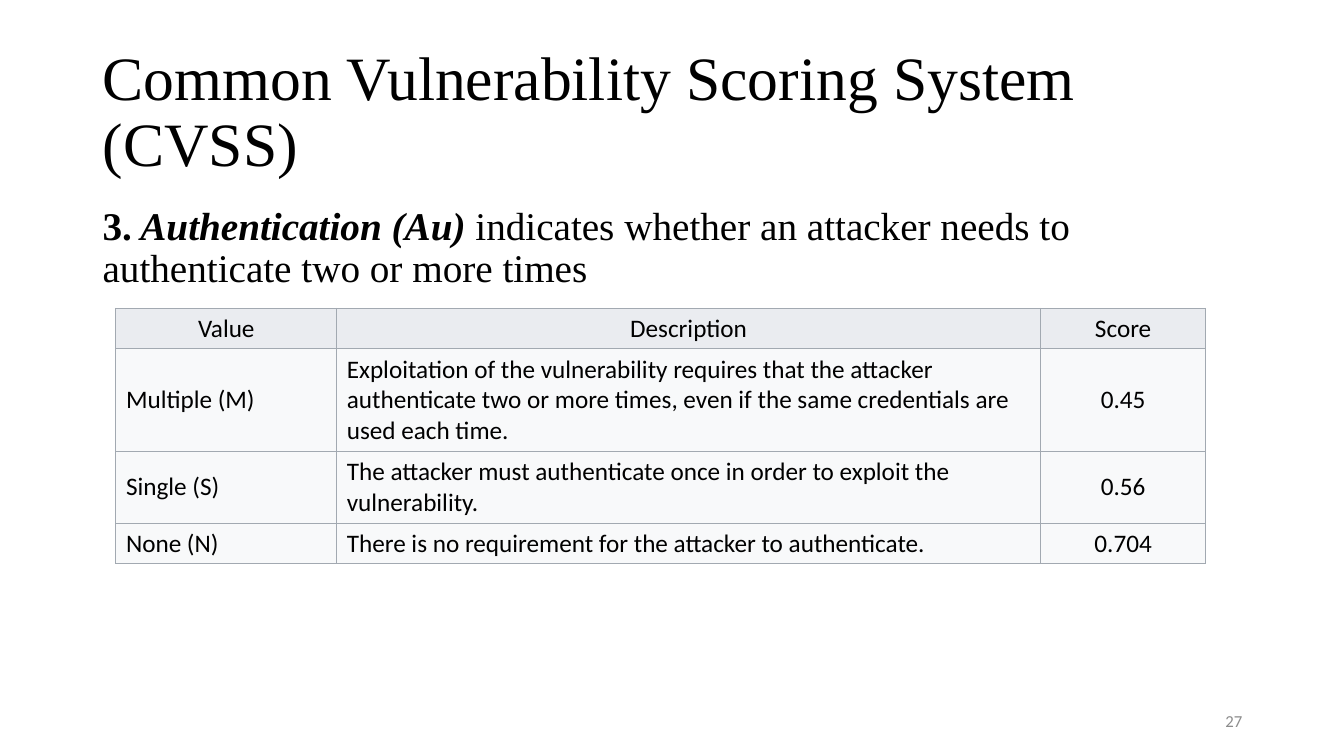
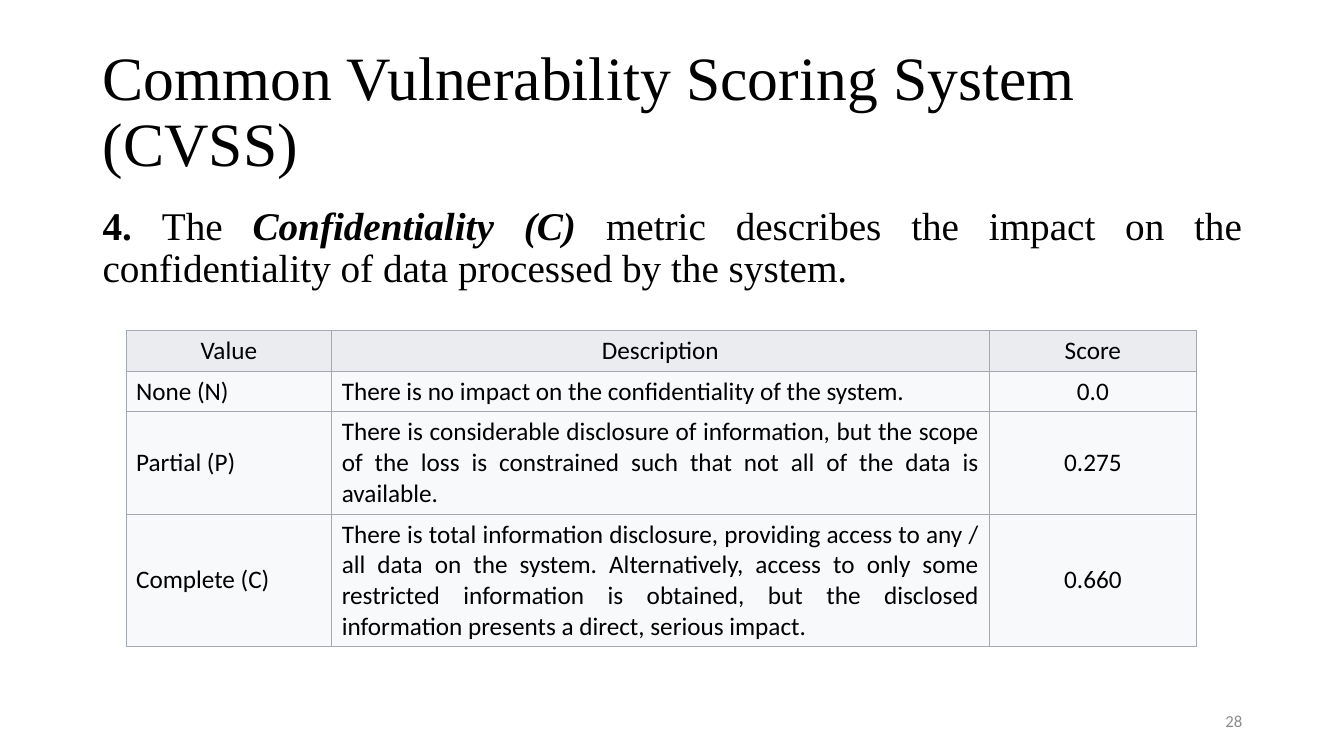
from dataclasses import dataclass

from lxml.etree import SubElement
from pptx import Presentation
from pptx.dml.color import RGBColor
from pptx.enum.text import MSO_ANCHOR as Anchor, MSO_AUTO_SIZE as AutoSize, PP_ALIGN as Align
from pptx.oxml.ns import qn
from pptx.util import Inches, Pt

TITLE_ONLY = 5
FIRST_NUMBER = 27
TITLE = "Common Vulnerability Scoring System (CVSS)"
HEADER = ("Value", "Description", "Score")


@dataclass(frozen=True)
class Theme:
    text: RGBColor = RGBColor.from_string("000000")
    number: RGBColor = RGBColor.from_string("8C8C8C")
    header_fill: RGBColor = RGBColor.from_string("EAECF0")
    row_fill: RGBColor = RGBColor.from_string("F8F9FA")
    border: str = "A2A9B1"
    border_width: float = 0.75
    serif: str = "Times New Roman"
    sans: str = "Calibri"
    title_size: int = 44
    lead_size: int = 28
    table_size: int = 18
    number_size: int = 12
    line_spacing: float = 0.9
    left: float = 0.92
    width: float = 11.5


class Deck:
    """Holds the theme, the presentation and the slide being built."""

    def __init__(self, theme):
        self.theme = theme
        self.presentation = Presentation()
        self.presentation.slide_width = Inches(13.33)
        self.presentation.slide_height = Inches(7.5)
        self.slide = None

    def add_slide(self, title):
        layout = self.presentation.slide_layouts[TITLE_ONLY]
        self.slide = self.presentation.slides.add_slide(layout)
        shape = self.slide.shapes.title
        shape.left, shape.top = Inches(self.theme.left), Inches(0.4)
        shape.width, shape.height = Inches(self.theme.width), Inches(1.45)
        frame = shape.text_frame
        frame.text = title
        frame.word_wrap = True
        frame.auto_size = AutoSize.NONE
        frame.vertical_anchor = Anchor.MIDDLE
        paragraph = frame.paragraphs[0]
        paragraph.alignment = Align.LEFT
        paragraph.line_spacing = self.theme.line_spacing
        self.style(paragraph.runs[0], self.theme.serif, self.theme.title_size)

    def style(self, run, name, size, color=None):
        run.font.name = name
        run.font.size = Pt(size)
        run.font.color.rgb = color or self.theme.text

    def add_textbox(self, left, top, width, height):
        shape = self.slide.shapes.add_textbox(
            Inches(left), Inches(top), Inches(width), Inches(height))
        shape.text_frame.word_wrap = True
        return shape.text_frame

    def add_lead(self, parts, alignment):
        """Write the metric's definition; each part is (text, bold, italic)."""
        frame = self.add_textbox(self.theme.left, 2, self.theme.width, 4.76)
        paragraph = frame.paragraphs[0]
        paragraph.alignment = alignment
        paragraph.line_spacing = self.theme.line_spacing
        for text, bold, italic in parts:
            run = paragraph.add_run()
            run.text = text
            self.style(run, self.theme.serif, self.theme.lead_size)
            run.font.bold, run.font.italic = bold, italic

    def add_table(self, left, top, widths, heights, rows, body_alignment):
        shape = self.slide.shapes.add_table(
            len(rows), len(widths), Inches(left), Inches(top),
            Inches(sum(widths)), Inches(sum(heights)))
        table = shape.table
        for column, width in zip(table.columns, widths):
            column.width = Inches(width)
        for row, height in zip(table.rows, heights):
            row.height = Inches(height)
        alignments = (Align.LEFT, body_alignment, Align.CENTER)
        for row_index, texts in enumerate(rows):
            is_header = row_index == 0
            fill = self.theme.header_fill if is_header else self.theme.row_fill
            for column_index, text in enumerate(texts):
                alignment = Align.CENTER if is_header else alignments[column_index]
                self.fill_cell(table.cell(row_index, column_index), text, alignment, fill)

    def fill_cell(self, cell, text, alignment, fill):
        cell.text = text
        cell.vertical_anchor = Anchor.MIDDLE
        paragraph = cell.text_frame.paragraphs[0]
        paragraph.alignment = alignment
        run = paragraph.runs[0]
        self.style(run, self.theme.sans, self.theme.table_size)
        run.font.bold = False
        self.add_borders(cell)
        cell.fill.solid()
        cell.fill.fore_color.rgb = fill

    def add_borders(self, cell):
        properties = cell._tc.get_or_add_tcPr()
        for side in ("a:lnL", "a:lnR", "a:lnT", "a:lnB"):
            line = SubElement(properties, qn(side), w=str(Pt(self.theme.border_width)))
            solid = SubElement(line, qn("a:solidFill"))
            SubElement(solid, qn("a:srgbClr"), val=self.theme.border)

    def add_number(self, number):
        frame = self.add_textbox(9.42, 6.95, 3, 0.4)
        frame.text = str(number)
        frame.vertical_anchor = Anchor.MIDDLE
        paragraph = frame.paragraphs[0]
        paragraph.alignment = Align.RIGHT
        self.style(paragraph.runs[0], self.theme.sans, self.theme.number_size,
                   self.theme.number)


METRICS = [
    {
        "lead": [
            ("3.", True, False),
            (" Authentication (Au) ", True, True),
            ("indicates whether an attacker needs to authenticate two or more times",
             False, False),
        ],
        "alignment": Align.LEFT,
        "left": 1.15,
        "top": 3.06,
        "widths": (2.19, 6.98, 1.64),
        "heights": (0.4, 1.02, 0.71, 0.4),
        "rows": [
            ("Multiple (M)",
             "Exploitation of the vulnerability requires that the attacker authenticate "
             "two or more times, even if the same credentials are used each time.",
             "0.45"),
            ("Single (S)",
             "The attacker must authenticate once in order to exploit the vulnerability.",
             "0.56"),
            ("None (N)",
             "There is no requirement for the attacker to authenticate.",
             "0.704"),
        ],
    },
    {
        "lead": [
            ("4. ", True, False),
            ("The", False, False),
            (" Confidentiality (C) ", True, True),
            ("metric describes the impact on the confidentiality of data processed "
             "by the system.", False, False),
        ],
        "alignment": Align.JUSTIFY,
        "left": 1.25,
        "top": 3.28,
        "widths": (2.04, 6.52, 2.06),
        "heights": (0.4, 0.4, 1.02, 1.31),
        "rows": [
            ("None (N)",
             "There is no impact on the confidentiality of the system.",
             "0.0"),
            ("Partial (P)",
             "There is considerable disclosure of information, but the scope of the loss "
             "is constrained such that not all of the data is available.",
             "0.275"),
            ("Complete (C)",
             "There is total information disclosure, providing access to any / all data "
             "on the system. Alternatively, access to only some restricted information "
             "is obtained, but the disclosed information presents a direct, serious impact.",
             "0.660"),
        ],
    },
]


def main():
    deck = Deck(Theme())
    for number, metric in enumerate(METRICS, start=FIRST_NUMBER):
        deck.add_slide(TITLE)
        deck.add_lead(metric["lead"], metric["alignment"])
        deck.add_table(metric["left"], metric["top"], metric["widths"], metric["heights"],
                       [HEADER, *metric["rows"]], metric["alignment"])
        deck.add_number(number)
    deck.presentation.save("out.pptx")


if __name__ == "__main__":
    main()
